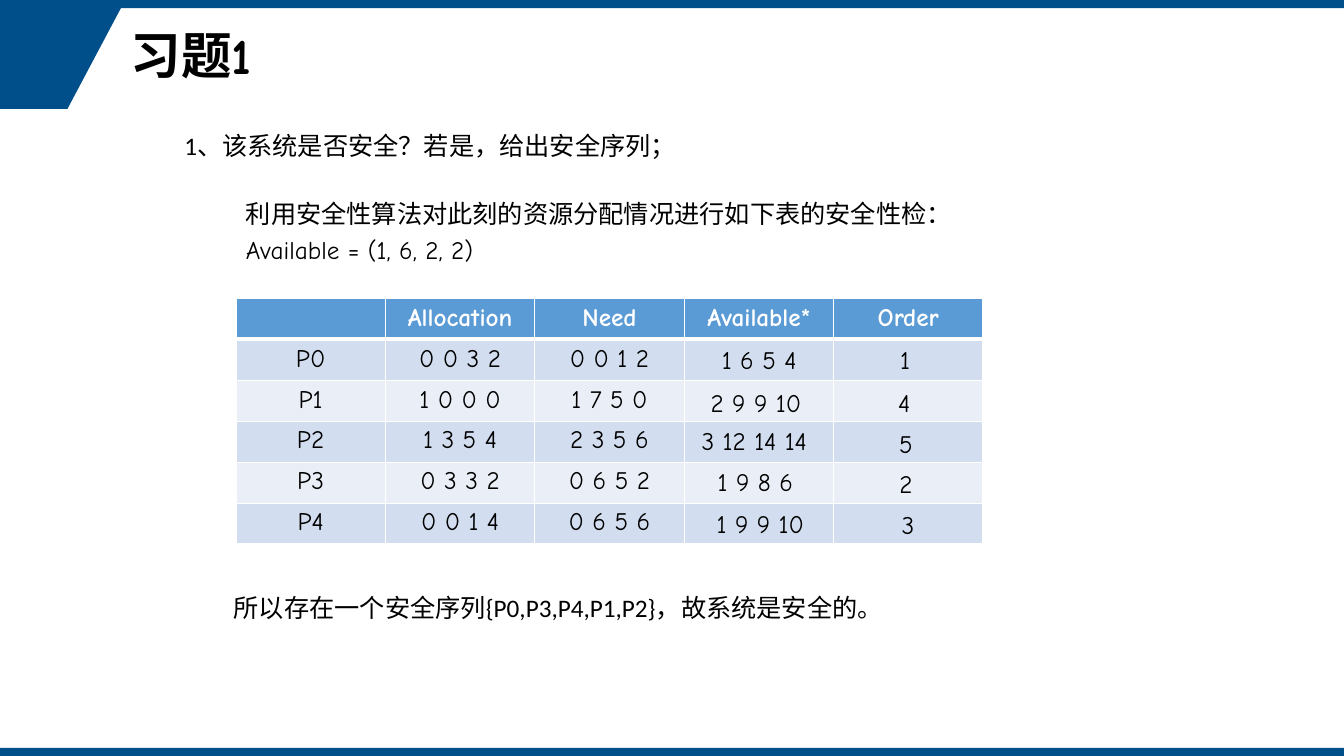
"""Build the slide on a safe sequence for the banker's algorithm."""
from dataclasses import dataclass

from lxml.etree import SubElement
from pptx import Presentation
from pptx.dml.color import RGBColor
from pptx.enum.shapes import MSO_SHAPE
from pptx.enum.text import MSO_ANCHOR, MSO_AUTO_SIZE, PP_ALIGN
from pptx.oxml.ns import qn
from pptx.util import Pt

PX = 9144
WIDE, HIGH = 1333, 750


@dataclass(frozen=True)
class Theme:
    blue: str = "004F8A"
    head: str = "5B9BD5"
    bands: tuple = ("D2DEEF", "EAEFF7")
    white: str = "FFFFFF"
    black: str = "000000"
    sans: str = "Calibri"
    comic: str = "Comic Neue"
    title: int = 36
    body: int = 18
    thin: int = 1
    thick: int = 3


THEME = Theme()
LEFT, MID = PP_ALIGN.LEFT, PP_ALIGN.CENTER

BAR = 8
WEDGE = [(0, 8), (120, 8), (67, 108), (0, 108)]
TITLE = ("习题1", (120, 8, 1122, 100))

LINES = [
    ("1、该系统是否安全？若是，给出安全序列；", (173, 124, 513, 40), THEME.sans, False, 0),
    ("利用安全性算法对此刻的资源分配情况进行如下表的安全性检：",
     (234, 192, 861, 40), THEME.sans, True, 0),
    ("Available = (1, 6, 2, 2)", (234, 228, 268, 40), THEME.comic, False, 0),
    ("所以存在一个安全序列{P0,P3,P4,P1,P2}，故系统是安全的。",
     (150, 583, 908, 40), THEME.sans, True, 72),
]

GRID = (234, 296, 741, 244)
ROWS = [
    ("", "Allocation", "Need", "Available*", "Order"),
    ("P0", "0 0 3 2", "0 0 1 2", "", ""),
    ("P1", "1 0 0 0", "1 7 5 0", "", ""),
    ("P2", "1 3 5 4", "2 3 5 6", "", ""),
    ("P3", "0 3 3 2", "0 6 5 2", "", ""),
    ("P4", "0 0 1 4", "0 6 5 6", "", ""),
]

NOTES = [
    ("1 6 5 4", 702, 337, 102, MID),
    ("2 9 9 10", 695, 379, 116, LEFT),
    ("3 12 14 14", 686, 417, 133, LEFT),
    ("1 9 8 6", 702, 458, 102, LEFT),
    ("1 9 9 10", 701, 499, 111, LEFT),
    ("1", 883, 337, 29, LEFT),
    ("4", 881, 379, 35, LEFT),
    ("5", 881, 420, 35, MID),
    ("2", 881, 460, 35, MID),
    ("3", 883, 500, 35, MID),
]


def emu(box):
    return [side * PX for side in box]


def paint(shape):
    shape.shadow.inherit = False
    shape.fill.solid()
    shape.fill.fore_color.rgb = RGBColor.from_string(THEME.blue)
    shape.line.fill.background()


def style(para, face, size=THEME.body, color=THEME.black, bold=False, align=LEFT):
    para.alignment = align
    font = para.font
    font.name, font.size, font.bold = face, Pt(size), bold
    font.color.rgb = RGBColor.from_string(color)


def write(slide, text, box, face, wrap=False, align=LEFT):
    frame = slide.shapes.add_textbox(*emu(box)).text_frame
    frame.word_wrap = wrap
    frame.auto_size = MSO_AUTO_SIZE.SHAPE_TO_FIT_TEXT
    para = frame.paragraphs[0]
    para.text = text
    style(para, face, align=align)
    return para


def draw_frame(slide):
    for top in (0, HIGH - BAR):
        paint(slide.shapes.add_shape(MSO_SHAPE.RECTANGLE, *emu((0, top, WIDE, BAR))))
    pen = slide.shapes.build_freeform(*WEDGE[0], scale=PX)
    pen.add_line_segments(WEDGE[1:], close=True)
    paint(pen.convert_to_shape())


def draw_title(slide):
    text, box = TITLE
    frame = slide.shapes.add_textbox(*emu(box)).text_frame
    frame.word_wrap = True
    frame.vertical_anchor = MSO_ANCHOR.MIDDLE
    para = frame.paragraphs[0]
    para.text = text
    para.line_spacing = 0.9
    style(para, THEME.comic, THEME.title, bold=True)


def edge(cell, row):
    props = cell._tc.get_or_add_tcPr()
    for side in ("lnL", "lnR", "lnT", "lnB"):
        heavy = (row, side) in ((0, "lnB"), (1, "lnT"))
        width = Pt(THEME.thick if heavy else THEME.thin)
        line = SubElement(props, qn("a:" + side), w=str(width))
        fill = SubElement(line, qn("a:solidFill"))
        SubElement(fill, qn("a:srgbClr"), val=THEME.white)


def draw_table(slide):
    count, span = len(ROWS), len(ROWS[0])
    table = slide.shapes.add_table(count, span, *emu(GRID)).table
    for col in table.columns:
        col.width = GRID[2] * PX // span
    for r, row in enumerate(ROWS):
        table.rows[r].height = GRID[3] * PX // count
        head = r == 0
        shade = THEME.head if head else THEME.bands[(r - 1) % 2]
        ink = THEME.white if head else THEME.black
        for c, text in enumerate(row):
            cell = table.cell(r, c)
            edge(cell, r)
            cell.fill.solid()
            cell.fill.fore_color.rgb = RGBColor.from_string(shade)
            cell.text = text
            style(cell.text_frame.paragraphs[0], THEME.comic,
                  color=ink, bold=head, align=MID)


def main():
    deck = Presentation()
    deck.slide_width, deck.slide_height = emu((WIDE, HIGH))
    slide = deck.slides.add_slide(deck.slide_layouts[6])
    draw_frame(slide)
    draw_title(slide)
    draw_table(slide)
    for text, box, face, wrap, inset in LINES:
        para = write(slide, text, box, face, wrap)
        if inset:
            para._p.get_or_add_pPr().set("marL", str(inset * PX))
    for text, left, top, width, align in NOTES:
        write(slide, text, (left, top, width, 40), THEME.comic, align=align)
    deck.save("out.pptx")


if __name__ == "__main__":
    main()
